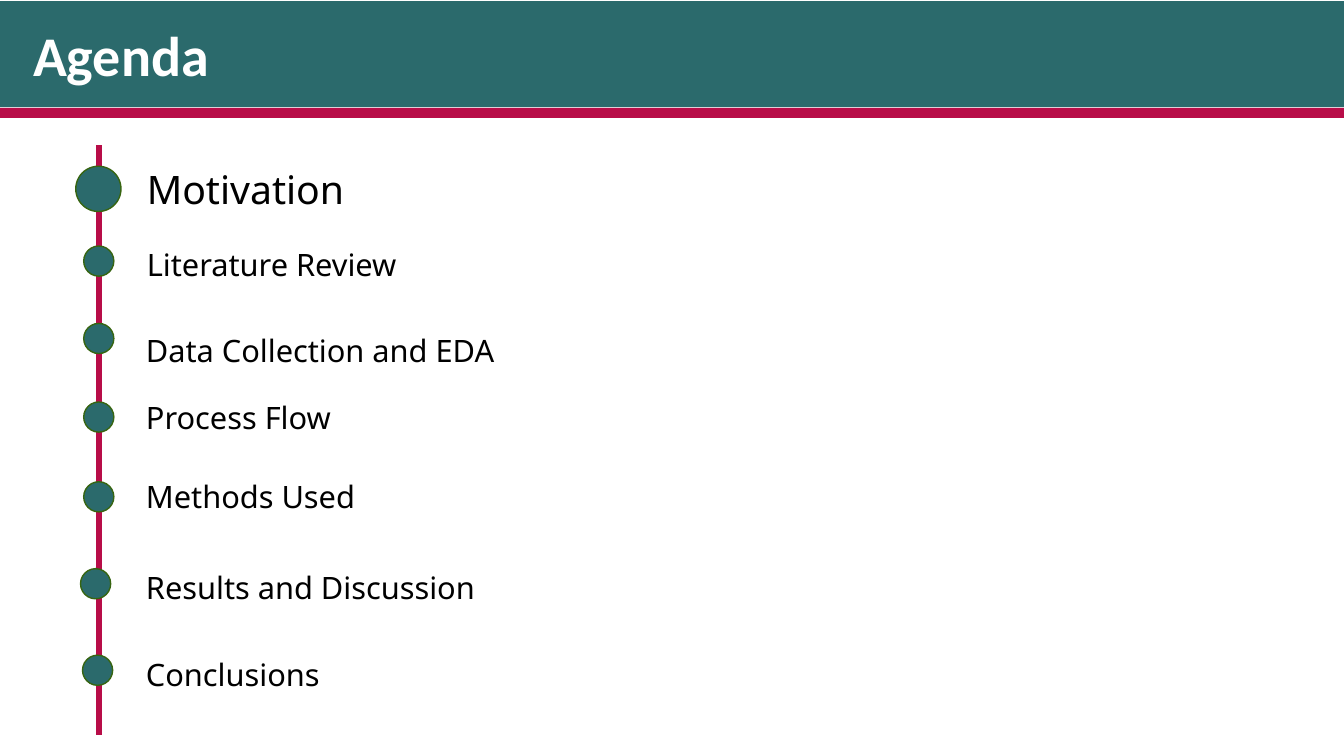
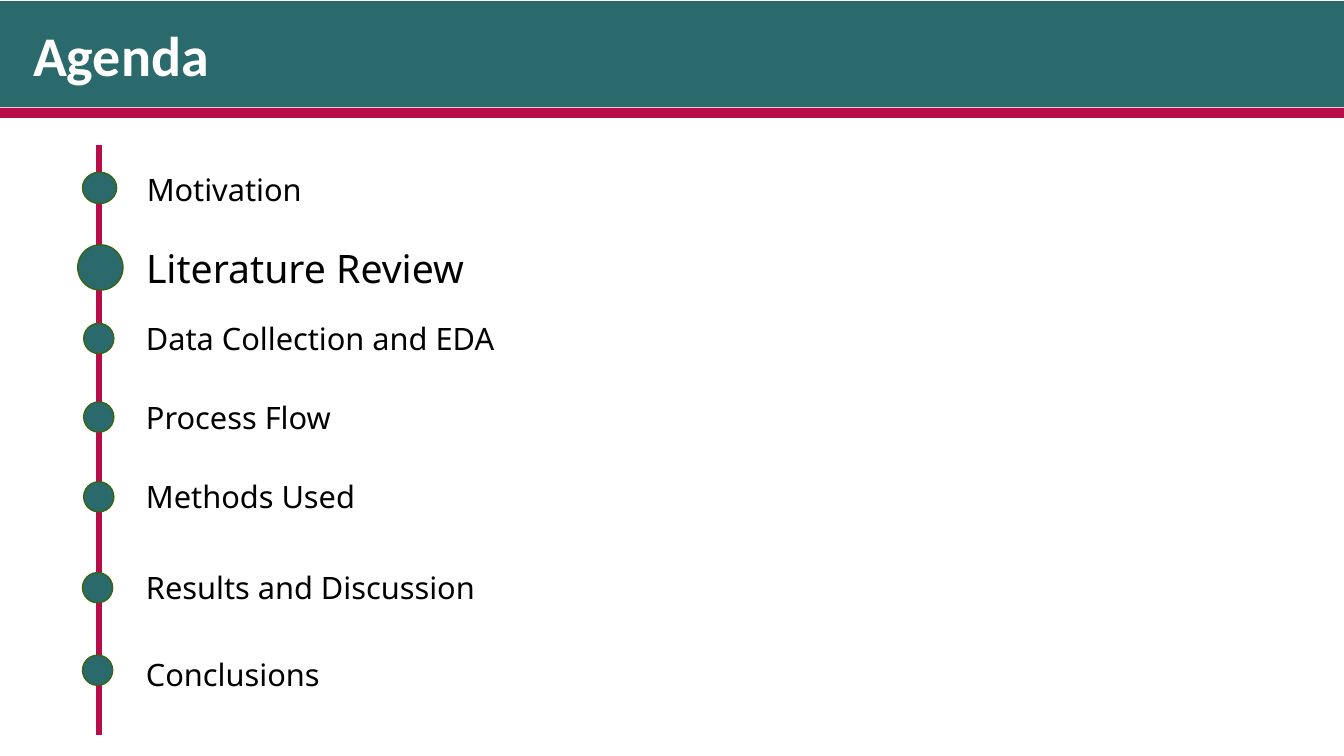
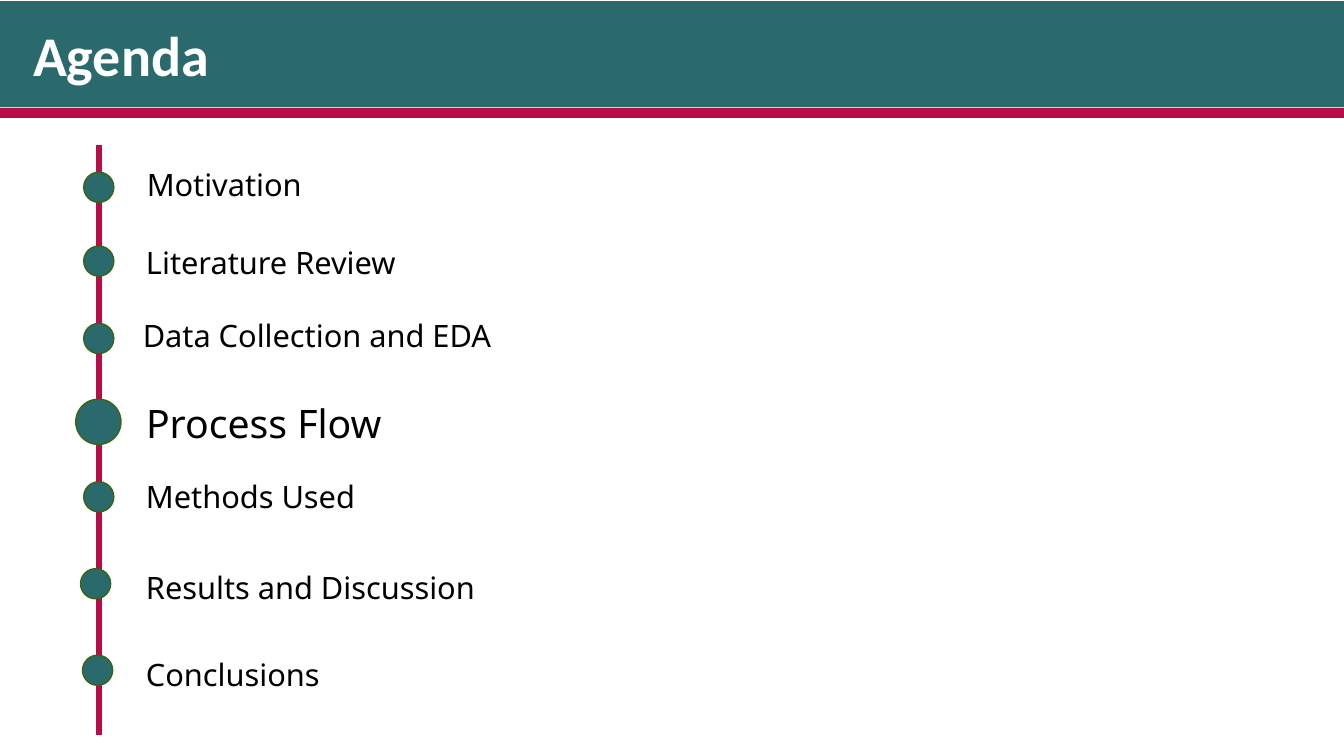
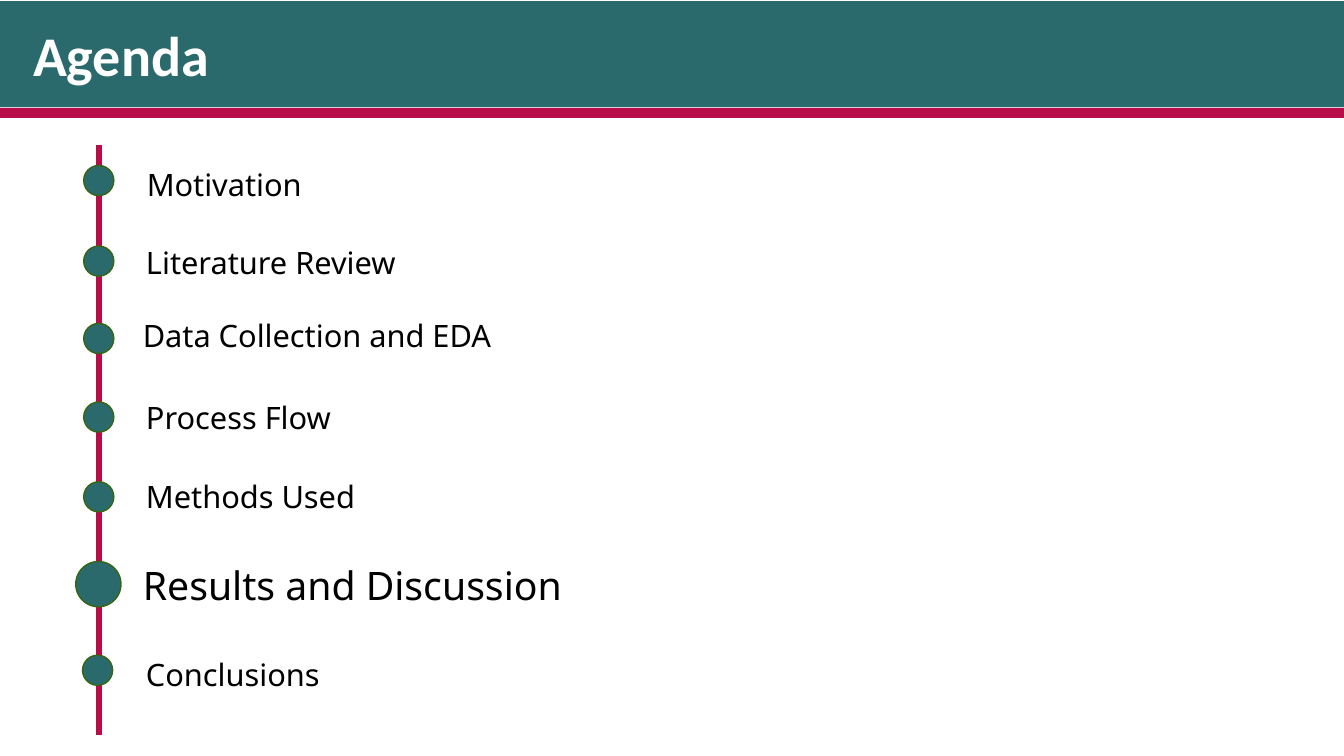
from dataclasses import dataclass, replace

from lxml import etree
from pptx import Presentation
from pptx.dml.color import RGBColor
from pptx.enum.shapes import MSO_CONNECTOR, MSO_SHAPE
from pptx.enum.text import MSO_ANCHOR, MSO_AUTO_SIZE, PP_ALIGN
from pptx.oxml.ns import qn
from pptx.shapes.autoshape import Shape
from pptx.slide import Slide
from pptx.text.text import TextFrame
from pptx.util import Cm, Pt

RECTANGLE, OVAL = MSO_SHAPE.RECTANGLE, MSO_SHAPE.OVAL
STRAIGHT = MSO_CONNECTOR.STRAIGHT
LEFT, MIDDLE = PP_ALIGN.LEFT, MSO_ANCHOR.MIDDLE
FIT_SHAPE = MSO_AUTO_SIZE.SHAPE_TO_FIT_TEXT

COLOURS = {
    "teal": "2B6A6C",
    "crimson": "B80D48",
    "rim": "376511",
    "text": "000000",
    "title": "FFFFFF",
}
TITLE_FONT, LABEL_FONT = "Calibri", "Noto Sans"

# Lengths in centimetres, text sizes in points
PAGE_WIDTH, PAGE_HEIGHT = 33.87, 19.05
TITLE_ONLY_LAYOUT = 5
LABEL_SIZE, FOCUS_LABEL_SIZE = 22, 28
LABEL_HEIGHT, FOCUS_LABEL_HEIGHT = 1.19, 1.45
DOT_SIZE, FOCUS_DOT_SIZE = 0.76, 1.14
SIDE_INSETS = 0.51
TRACK_X, TRACK_TOP, TRACK_BOTTOM = 2.49, 3.66, 18.52


@dataclass(frozen=True)
class Band:
    top: float
    height: float
    colour: str


@dataclass(frozen=True)
class Stop:
    """One agenda entry: a dot on the track and its label."""
    label: str
    dot_left: float
    dot_top: float
    label_left: float
    label_top: float
    label_width: float
    dot_width: float = DOT_SIZE
    dot_height: float = DOT_SIZE


@dataclass(frozen=True)
class Agenda:
    """One agenda page: the stop in focus and the stops that move."""
    focus: str
    changes: dict[str, dict[str, float]]


BANDS = [Band(0.03, 2.67, "teal"), Band(2.72, 0.25, "crimson")]

STOPS = [
    Stop("Motivation", 2.11, 4.17, 3.45, 4.04, 4.47),
    Stop("Literature Review", 2.11, 6.2, 3.43, 6.02, 6.93),
    Stop("Data Collection and EDA", 2.11, 8.15, 3.35, 7.85, 9.4),
    Stop("Process Flow", 2.11, 10.13, 3.43, 9.93, 5.23),
    Stop("Methods Used", 2.11, 12.14, 3.43, 11.91, 5.84),
    Stop("Results and Discussion", 2.03, 14.33, 3.43, 14.2, 8.89),
    Stop("Conclusions", 2.08, 16.51, 3.43, 16.41, 4.93),
]

AGENDAS = [
    Agenda("Motivation", {
        "Motivation": {"dot_left": 1.91, "dot_top": 4.19},
        "Literature Review": {"label_left": 3.45, "label_top": 6.07},
        "Data Collection and EDA": {"label_left": 3.43, "label_top": 8.23},
    }),
    Agenda("Literature Review", {
        "Motivation": {"dot_left": 2.08, "dot_top": 4.34, "dot_width": 0.86,
                       "dot_height": 0.79, "label_top": 4.19},
        "Literature Review": {"dot_left": 1.96, "dot_top": 6.17},
        "Data Collection and EDA": {"label_left": 3.43, "label_top": 7.92},
        "Results and Discussion": {"dot_left": 2.08, "dot_top": 14.43},
    }),
    Agenda("Process Flow", {
        "Motivation": {"dot_top": 4.34},
        "Process Flow": {"dot_left": 1.91, "dot_top": 10.06},
    }),
    Agenda("Results and Discussion", {
        "Results and Discussion": {"dot_left": 1.91, "dot_top": 14.15,
                                   "label_left": 3.35, "label_top": 14.02},
    }),
]


def colour(name: str) -> RGBColor:
    return RGBColor.from_string(COLOURS[name])


def add_filled(page: Slide, kind: MSO_SHAPE, left: float, top: float,
               width: float, height: float, fill: str) -> Shape:
    shape = page.shapes.add_shape(kind, Cm(left), Cm(top), Cm(width), Cm(height))
    shape.shadow.inherit = False
    shape.fill.solid()
    shape.fill.fore_color.rgb = colour(fill)
    shape.line.fill.background()
    return shape


def write(frame: TextFrame, text: str, font: str, size: int, tint: str,
          bold: bool = False) -> None:
    frame.text = text
    para = frame.paragraphs[0]
    para.alignment = LEFT
    for span in para.runs:
        span.font.name = font
        span.font.size = Pt(size)
        span.font.bold = bold
        span.font.color.rgb = colour(tint)


def add_header(page: Slide, text: str) -> None:
    title = page.shapes.title
    title.left, title.top = Cm(0.58), Cm(0.38)
    title.width, title.height = Cm(19.81), Cm(1.96)
    frame = title.text_frame
    frame.word_wrap = True
    frame.auto_size = FIT_SHAPE
    frame.vertical_anchor = MIDDLE
    write(frame, text, TITLE_FONT, 40, "title", bold=True)
    # The bands lie behind the title
    for band in BANDS:
        shape = add_filled(page, RECTANGLE, 0, band.top, PAGE_WIDTH,
                           band.height, band.colour)
        title.element.addprevious(shape.element)


def add_track(page: Slide) -> None:
    track = page.shapes.add_connector(STRAIGHT, Cm(TRACK_X), Cm(TRACK_TOP),
                                      Cm(TRACK_X), Cm(TRACK_BOTTOM))
    track.line.color.rgb = colour("crimson")
    track.line.width = Pt(4.5)
    etree.SubElement(track.element.spPr, qn("a:effectLst"))


def add_stop(page: Slide, stop: Stop, focused: bool) -> None:
    size, height = LABEL_SIZE, LABEL_HEIGHT
    if focused:
        # The label grows with its type; the side insets stay
        size, height = FOCUS_LABEL_SIZE, FOCUS_LABEL_HEIGHT
        text_width = (stop.label_width - SIDE_INSETS) * size / LABEL_SIZE
        stop = replace(stop, dot_width=FOCUS_DOT_SIZE, dot_height=FOCUS_DOT_SIZE,
                       label_width=text_width + SIDE_INSETS)

    dot = add_filled(page, OVAL, stop.dot_left, stop.dot_top,
                     stop.dot_width, stop.dot_height, "teal")
    dot.line.color.rgb = colour("rim")
    dot.line.width = Pt(1)

    box = page.shapes.add_textbox(Cm(stop.label_left), Cm(stop.label_top),
                                  Cm(stop.label_width), Cm(height))
    box.text_frame.word_wrap = False
    box.text_frame.auto_size = FIT_SHAPE
    write(box.text_frame, stop.label, LABEL_FONT, size, "text")


def main() -> None:
    deck = Presentation()
    deck.slide_width, deck.slide_height = Cm(PAGE_WIDTH), Cm(PAGE_HEIGHT)
    for agenda in AGENDAS:
        page = deck.slides.add_slide(deck.slide_layouts[TITLE_ONLY_LAYOUT])
        add_header(page, "Agenda")
        add_track(page)
        for stop in STOPS:
            placed = replace(stop, **agenda.changes.get(stop.label, {}))
            add_stop(page, placed, stop.label == agenda.focus)
    deck.save("out.pptx")


if __name__ == "__main__":
    main()
